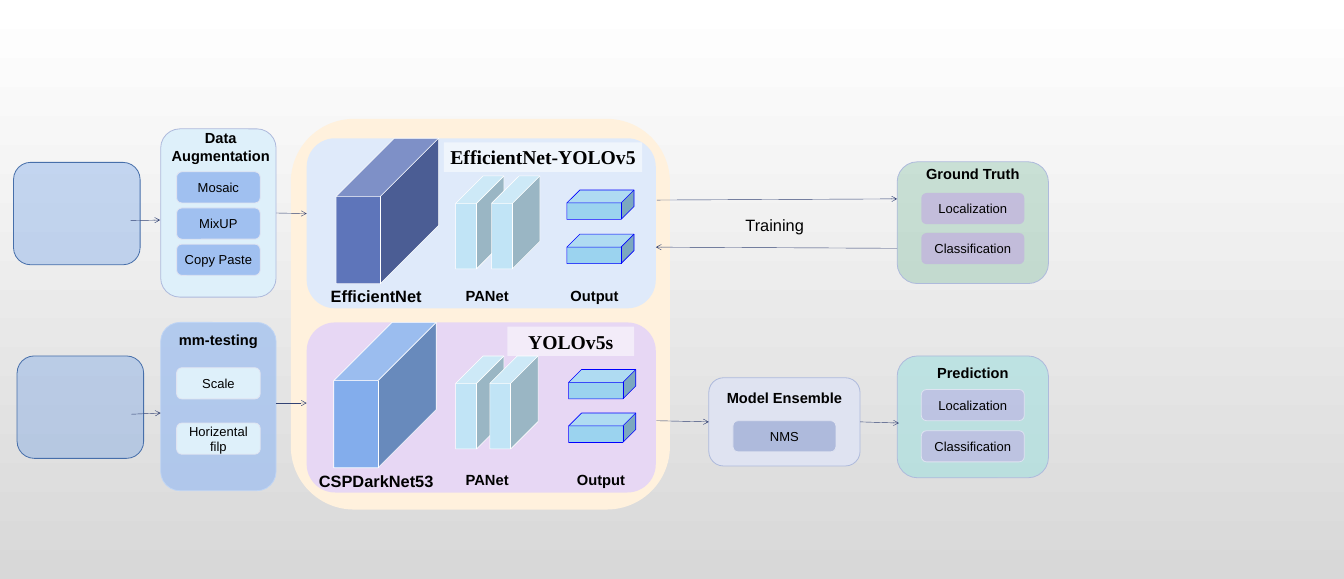
from lxml.etree import SubElement
from pptx import Presentation
from pptx.dml.color import RGBColor
from pptx.enum.shapes import MSO_CONNECTOR, MSO_SHAPE
from pptx.enum.text import MSO_ANCHOR, PP_ALIGN
from pptx.oxml.ns import qn
from pptx.util import Inches, Pt

GRID = Inches(0.1)
ALT = MSO_SHAPE.FLOWCHART_ALTERNATE_PROCESS
ROUND = MSO_SHAPE.ROUNDED_RECTANGLE
SERIF = "Times New Roman"


def rgb(code):
    return RGBColor.from_string(code)


def cells(*lengths):
    return [round(n * GRID) for n in lengths]


def within(box, x, y, w, h):
    return box[0] + x, box[1] + y, w, h


def write(sp, text, size, bold=False, font="Arial", wrap=True, anchor=MSO_ANCHOR.TOP):
    tf = sp.text_frame
    tf.text = text
    tf.word_wrap = wrap
    tf.vertical_anchor = anchor
    for p in tf.paragraphs:
        p.alignment = PP_ALIGN.CENTER
        for r in p.runs:
            r.font.name, r.font.size, r.font.bold = font, Pt(size), bold
            r.font.color.rgb = rgb("000000")


def add_label(slide, box, text, size, bold=True):
    write(slide.shapes.add_textbox(*cells(*box)), text, size, bold)


def add_block(slide, kind, box, fill, opacity=100, line=None, width=1):
    sp = slide.shapes.add_shape(kind, *cells(*box))
    sp.shadow.inherit = False
    sp.fill.solid()
    sp.fill.fore_color.rgb = rgb(fill)
    if opacity < 100:
        color = sp.fill._xPr.find(qn("a:solidFill"))[0]
        SubElement(color, qn("a:alpha"), val=str(opacity * 1000))
    if line:
        sp.line.color.rgb = rgb(line)
        sp.line.width = Pt(width)
    else:
        sp.line.fill.background()
    return sp


def add_cube(slide, box, fill, line="FFFFFF", depth=0.568):
    sp = add_block(slide, MSO_SHAPE.CUBE, box, fill, 100, line, 0.75)
    sp.adjustments[0] = depth


def add_arrow(slide, x1, y1, x2, y2, start=None, end=None):
    c = slide.shapes.add_connector(MSO_CONNECTOR.STRAIGHT, *cells(x1, y1, x2, y2))
    c.line.color.rgb = rgb("324274")
    c.line.width = Pt(0.5)
    SubElement(c.line._get_or_add_ln(), qn("a:tailEnd"), type="arrow")
    SubElement(c._element.spPr, qn("a:effectLst"))
    if start is not None:
        c.begin_connect(start, 3)
    if end is not None:
        c.end_connect(end, 1)


def add_card(slide, kind, box, fill, line, title, title_y, items, first, pitch,
             item_w, item_fill, opacity=100, item_opacity=100, item_line="DFE3F1", shift=0):
    card = add_block(slide, kind, box, fill, opacity, line)
    add_label(slide, within(box, shift - 2, title_y, box[2] + 4, 5.7), title, 17.9)
    for i, item in enumerate(items):
        spot = within(box, (box[2] - item_w) / 2, first + i * pitch, item_w, 5.3)
        sp = add_block(slide, ALT, spot, item_fill, item_opacity, item_line)
        write(sp, item, 15.9, anchor=MSO_ANCHOR.MIDDLE)
    return card


def add_model(slide, box, fill, title, title_x, title_w, backbone, backbone_x, backbone_fill,
              neck_xs, neck_y, output_x, output_ys, output_label_x):
    add_block(slide, ROUND, box, fill)
    add_cube(slide, within(box, backbone_x, 0, 17.4, 24.7), backbone_fill)
    for x in neck_xs:
        add_cube(slide, within(box, x, neck_y, 8.2, 15.8), "C1E4F6")
    for y in output_ys:
        add_cube(slide, within(box, output_x, y, 11.4, 5), "9BD3EF", "0000FF", 0.439)
    add_label(slide, within(box, -0.8, 24.7, 25.2, 4.4), backbone, 20)
    add_label(slide, within(box, 22.2, 24.7, 16.9, 4), "PANet", 18)
    add_label(slide, within(box, output_label_x, 24.7, 16.4, 4), "Output", 18)
    sp = add_block(slide, MSO_SHAPE.RECTANGLE, within(box, title_x, 0.7, title_w, 5), "FFFFFF", 53)
    write(sp, title, 24, True, SERIF, wrap=False)


def add_background(slide):
    fill = slide.background.fill
    fill.gradient()
    fill.gradient_angle = 270
    for stop, code in zip(fill.gradient_stops, ("FFFFFF", "D8D8D8")):
        stop.color.rgb = rgb(code)


def add_inputs(slide):
    add_block(slide, ALT, (2.3, 27.6, 21.5, 17.4), "6096E6", 33, "476FAA")
    add_block(slide, ALT, (2.9, 60.5, 21.5, 17.4), "6096E6", 32, "476FAA")
    augment = add_card(slide, ALT, (27.3, 21.9, 19.6, 28.6), "DEF0FA", "AEBADC",
                       "Data\nAugmentation", -0.4, ("Mosaic", "MixUP", "Copy Paste"),
                       7.3, 6.15, 14.2, "A0C0F0", shift=0.4)
    add_card(slide, ALT, (27.3, 54.8, 19.6, 28.6), "A0C0F0", "BFD5F5", "mm-testing", 1,
             ("Scale", "Horizental filp"), 7.7, 9.4, 14.2, "DEF0FA", opacity=74)
    add_arrow(slide, 22.2, 37.5, 27.2, 37.4)
    add_arrow(slide, 22.3, 70.4, 27.3, 70.2)
    add_arrow(slide, 46.9, 36.2, 52.1, 36.3, start=augment)
    add_arrow(slide, 46.8, 68.5, 52.1, 68.5)


def add_models(slide):
    add_block(slide, ROUND, (49.4, 20.2, 64.4, 66.4), "FFF1DD")
    add_model(slide, (52.1, 23.5, 59.3, 28.9), "DFEAFA", "EfficientNet-YOLOv5", 23.3, 33.7,
              "EfficientNet", 5, "5E75BA", (25.3, 31.4), 6.4, 44.2, (8.8, 16.3), 40.7)
    add_model(slide, (52.1, 54.8, 59.3, 28.9), "E7D7F4", "YOLOv5s", 34.1, 21.5,
              "CSPDarkNet53", 4.6, "83ADEC", (25.3, 31.1), 5.7, 44.5, (8, 15.4), 41.8)


def add_results(slide):
    tasks = ("Localization", "Classification")
    add_card(slide, ROUND, (152.4, 27.5, 25.7, 20.7), "2F9765", "AEBADC", "Ground Truth", 0,
             tasks, 5.3, 6.8, 17.5, "C09BE6", opacity=22, item_opacity=48, item_line=None)
    ensemble = add_card(slide, ROUND, (120.4, 64.2, 25.7, 15), "DFE3F1", "AEBADC",
                        "Model Ensemble", 1.4, ("NMS",), 7.3, 0, 17.5, "AEBADC")
    add_card(slide, ROUND, (152.4, 60.5, 25.7, 20.7), "9CE0DF", "AEBADC", "Prediction", 0.9,
             tasks, 5.7, 7, 17.5, "C09BE6", opacity=54, item_opacity=41)
    add_label(slide, (117.3, 36, 28.6, 4.4), "Training", 20, False)
    add_arrow(slide, 111.6, 34, 152.4, 33.8)
    add_arrow(slide, 152.4, 42.2, 111.4, 42)
    add_arrow(slide, 111.5, 71.5, 120.4, 71.7, end=ensemble)
    add_arrow(slide, 146.1, 71.7, 152.7, 71.9, start=ensemble)


def main():
    prs = Presentation()
    prs.slide_width, prs.slide_height = cells(228.3, 98.4)
    slide = prs.slides.add_slide(prs.slide_layouts[6])
    add_background(slide)
    add_models(slide)
    add_inputs(slide)
    add_results(slide)
    prs.save("out.pptx")


if __name__ == "__main__":
    main()
